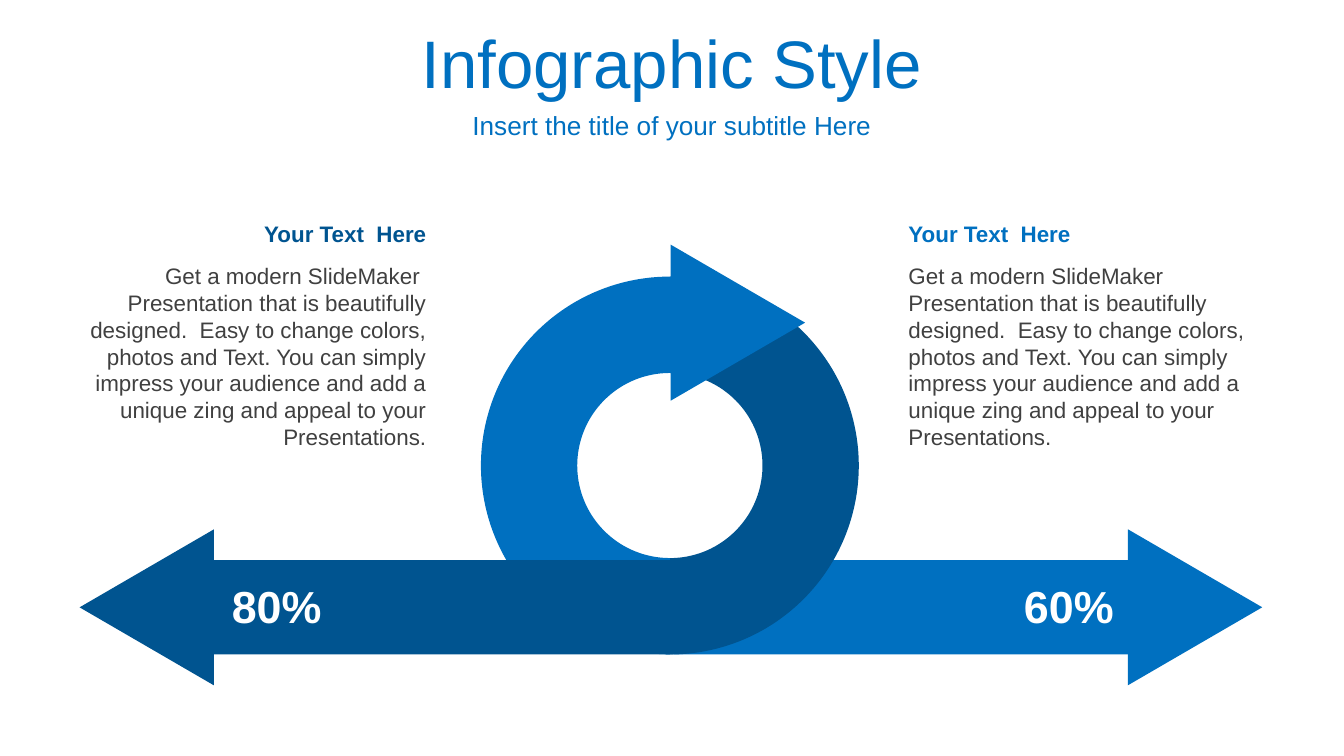
from pptx import Presentation
from pptx.dml.color import RGBColor
from pptx.enum.shapes import MSO_SHAPE
from pptx.enum.text import MSO_ANCHOR, PP_ALIGN
from pptx.util import Cm, Pt

LIGHT_BLUE = "0070C0"
DARK_BLUE = "005490"
GREY = "404040"
WHITE = "FFFFFF"

SLIDE_WIDTH = 25.4
BAND_TOP, BAND_WIDTH, BAND_HEIGHT = 10.59, 9.4, 1.78
BAND_LEFT = 3.33
BAND_MIDDLE = BAND_LEFT + BAND_WIDTH
RING_SIZE = 7.14
RING_BOX = (9.09, BAND_TOP + BAND_HEIGHT - RING_SIZE, RING_SIZE, RING_SIZE)
HEAD_SIZE = (2.95, 2.54)
HALF_RING = (53.999, 162.705, 0.255)

DESCRIPTION = (
    "Get a modern SlideMaker  Presentation that is beautifully designed.  "
    "Easy to change colors, photos and Text. You can simply impress your "
    "audience and add a unique zing and appeal to your Presentations."
)


def color(hex_string):
    return RGBColor.from_string(hex_string)


class SlideBuilder:
    """Holds the slide and its font; positions are in centimetres."""

    def __init__(self, slide, font_name="Arial"):
        self.slide = slide
        self.font_name = font_name

    def add_shape(self, kind, box, fill, rotation=0, adjustments=()):
        shape = self.slide.shapes.add_shape(kind, *map(Cm, box))
        shape.shadow.inherit = False
        shape.fill.solid()
        shape.fill.fore_color.rgb = color(fill)
        shape.line.fill.background()
        shape.rotation = rotation
        for index, value in enumerate(adjustments):
            shape.adjustments[index] = value

    def add_band(self, left, fill):
        box = (left, BAND_TOP, BAND_WIDTH, BAND_HEIGHT)
        self.add_shape(MSO_SHAPE.RECTANGLE, box, fill)

    def add_half_ring(self, fill, rotation=0):
        self.add_shape(MSO_SHAPE.BLOCK_ARC, RING_BOX, fill, rotation, HALF_RING)

    def add_head(self, left, top, fill, rotation=90):
        box = (left, top, *HEAD_SIZE)
        self.add_shape(MSO_SHAPE.ISOSCELES_TRIANGLE, box, fill, rotation)

    def add_text(self, text, box, *, size=12, fill=GREY, bold=False,
                 align=PP_ALIGN.CENTER, anchor=MSO_ANCHOR.MIDDLE):
        frame = self.slide.shapes.add_textbox(*map(Cm, box)).text_frame
        frame.word_wrap = True
        frame.vertical_anchor = anchor
        paragraph = frame.paragraphs[0]
        paragraph.text = text
        paragraph.alignment = align
        font = paragraph.font
        font.name = self.font_name
        font.size = Pt(size)
        font.bold = bold
        font.color.rgb = color(fill)

    def add_description(self, left, heading_fill, align):
        layout = {"align": align, "anchor": MSO_ANCHOR.TOP}
        self.add_text(DESCRIPTION, (left, 4.83, 7.09, 3.84), **layout)
        self.add_text("Your Text  Here", (left, 4.04, 7.09, 0.76),
                      fill=heading_fill, bold=True, **layout)


def main():
    presentation = Presentation()
    presentation.slide_width = Cm(SLIDE_WIDTH)
    presentation.slide_height = Cm(14.29)
    builder = SlideBuilder(
        presentation.slides.add_slide(presentation.slide_layouts[6]))

    builder.add_text("Infographic Style", (0, 0.36, SLIDE_WIDTH, 1.6),
                     size=36, fill=LIGHT_BLUE)
    builder.add_text("Insert the title of your subtitle Here",
                     (0, 1.96, SLIDE_WIDTH, 0.79), size=14, fill=LIGHT_BLUE)

    # The order of drawing makes the two arrows loop over each other.
    builder.add_band(BAND_MIDDLE, LIGHT_BLUE)
    builder.add_half_ring(DARK_BLUE, rotation=180)
    builder.add_half_ring(LIGHT_BLUE)
    builder.add_head(12.47, 4.83, LIGHT_BLUE)
    builder.add_band(BAND_LEFT, DARK_BLUE)
    builder.add_head(21.11, 10.21, LIGHT_BLUE)
    builder.add_head(1.3, 10.21, DARK_BLUE, rotation=270)

    for text, left in (("80%", 4.11), ("60%", 19.08)):
        builder.add_text(text, (left, 10.82, 2.24, 1.27),
                         size=24, fill=WHITE, bold=True)

    builder.add_description(1.22, DARK_BLUE, PP_ALIGN.RIGHT)
    builder.add_description(16.92, LIGHT_BLUE, PP_ALIGN.LEFT)

    presentation.save("out.pptx")


if __name__ == "__main__":
    main()
